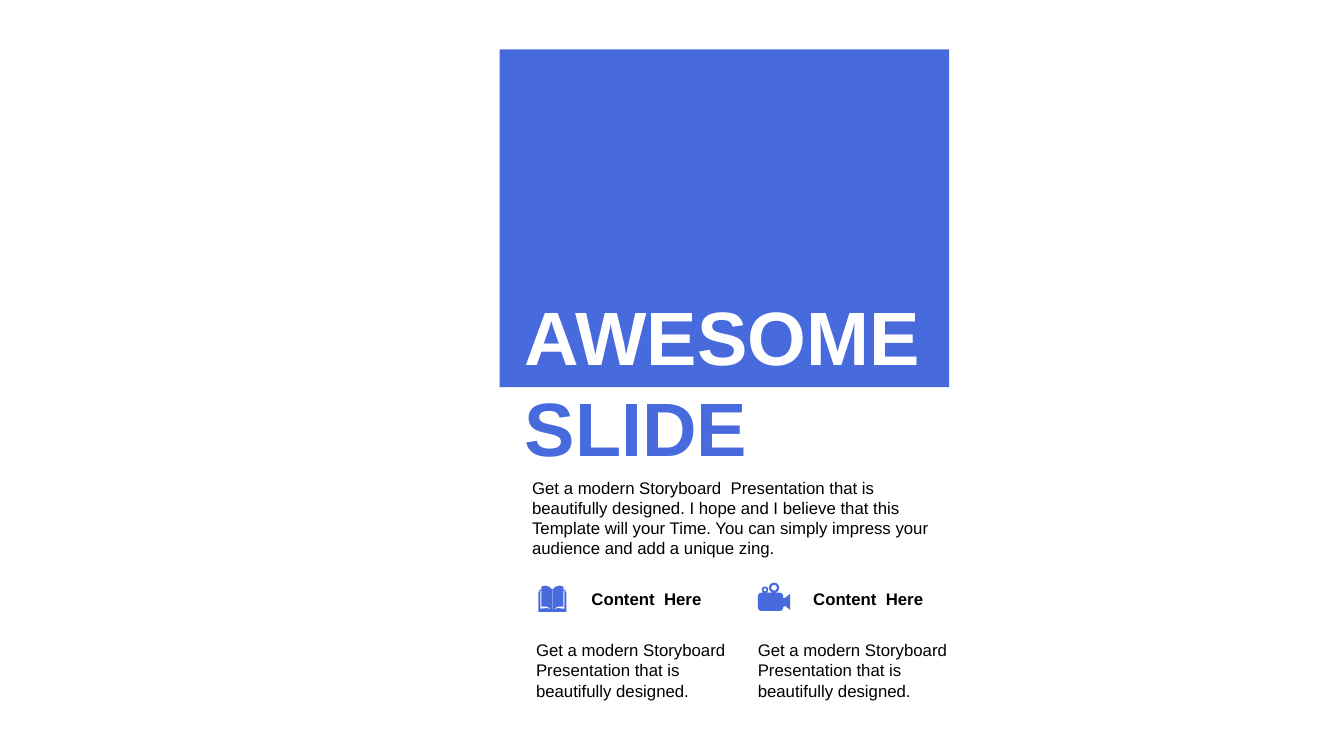
"""Build a slide with a blue title block, an introduction and two icon columns."""
from dataclasses import dataclass
from math import cos, pi, sin

from pptx import Presentation
from pptx.dml.color import RGBColor
from pptx.enum.shapes import MSO_SHAPE
from pptx.enum.text import MSO_ANCHOR, MSO_AUTO_SIZE
from pptx.util import Pt

RECTANGLE = MSO_SHAPE.RECTANGLE
TOP, MIDDLE = MSO_ANCHOR.TOP, MSO_ANCHOR.MIDDLE
GROW = MSO_AUTO_SIZE.SHAPE_TO_FIT_TEXT


@dataclass(frozen=True)
class Theme:
    blue: RGBColor = RGBColor(0x47, 0x6A, 0xDD)
    white: RGBColor = RGBColor(0xFF, 0xFF, 0xFF)
    black: RGBColor = RGBColor(0, 0, 0)
    font: str = "Arial"
    title_size: int = 54
    body_size: int = 12


theme = Theme()
title_format = {"name": theme.font, "size": Pt(theme.title_size), "bold": True}
body_format = {"name": theme.font, "size": Pt(theme.body_size), "bold": False}
heading_format = {**body_format, "bold": True}

deck = Presentation()
deck.slide_width, deck.slide_height = Pt(960), Pt(540)
page = deck.slides.add_slide(deck.slide_layouts[6])


def add_text(place, lines, text_format, anchor=TOP):
    box = page.shapes.add_textbox(*map(Pt, place))
    frame = box.text_frame
    frame.word_wrap = True
    frame.auto_size = GROW
    frame.vertical_anchor = anchor
    for index, (text, color) in enumerate(lines):
        para = frame.paragraphs[0] if index == 0 else frame.add_paragraph()
        span = para.add_run()
        span.text = text
        for name, value in text_format.items():
            setattr(span.font, name, value)
        span.font.color.rgb = color


def add_icon(left, top, contours):
    points = [[(round(x * 100), round(y * 100)) for x, y in contour]
              for contour in contours]
    builder = page.shapes.build_freeform(*points[0][0], scale=Pt(0.72) / 100)
    builder.add_line_segments(points[0][1:], close=True)
    for contour in points[1:]:
        builder.move_to(*contour[0])
        builder.add_line_segments(contour[1:], close=True)
    icon = builder.convert_to_shape(Pt(left), Pt(top))
    icon.shadow.inherit = False
    icon.fill.solid()
    icon.fill.fore_color.rgb = theme.blue
    icon.line.fill.background()


block = page.shapes.add_shape(RECTANGLE, Pt(357), Pt(35.2), Pt(321), Pt(241.3))
block.shadow.inherit = False
block.fill.solid()
block.fill.fore_color.rgb = theme.blue
block.line.fill.background()

add_text((367.9, 203, 316.1, 138.2),
         [("AWESOME", theme.white), ("SLIDE", theme.blue)], title_format, MIDDLE)
add_text((373, 337.7, 299.5, 65.5),
         [("Get a modern Storyboard  Presentation that is beautifully designed. "
           "I hope and I believe that this Template will your Time. You can simply "
           "impress your audience and add a unique zing.", theme.black)], body_format)

page_edge = [(14, 24), (17, 22.8), (20, 22.4), (26, 23), (26, 5), (25, 5),
             (25, 21), (19.5, 21), (17, 22)]
cover_half = [(14, 4), (17, 1.2), (21, 0), (25, 1), (25, 4), (27, 4), (27, 6),
              (28, 6), (28, 26)]
book = [
    cover_half + [(28 - x, y) for x, y in reversed(cover_half)],
    page_edge,
    [(28 - x, y) for x, y in page_edge],
    [(13.8, 4.5), (14.2, 4.5), (14.2, 23.8), (13.8, 23.8)],
]

camera = [[(3, 10), (22, 10), (24.1, 10.9), (25, 13), (25, 15), (27, 15),
           (32, 11), (32, 27), (27, 23), (25, 24), (25, 25), (24.1, 27.1),
           (22, 28), (3, 28), (0.9, 27.1), (0, 25), (0, 13), (0.9, 10.9)]]
for center_x, center_y, radii in ((7, 7, (3.2, 1.5)), (16, 5, (5, 2.8))):
    for radius in radii:
        camera.append([(center_x + radius * cos(step * pi / 16),
                        center_y + radius * sin(step * pi / 16))
                       for step in range(32)])

column_pitch = 158.4
for column, (left, top, contours) in enumerate(
        ((384.5, 418.3, book), (541.4, 416.2, camera))):
    shift = column * column_pitch
    add_text((415.4 + shift, 416.9, 105.1, 21.8),
             [("Content  Here", theme.black)], heading_format)
    add_text((375.8 + shift, 453.6, 159.1, 50.9),
             [("Get a modern Storyboard  Presentation that is beautifully designed.",
               theme.black)], body_format)
    add_icon(left, top, contours)

deck.save("out.pptx")
